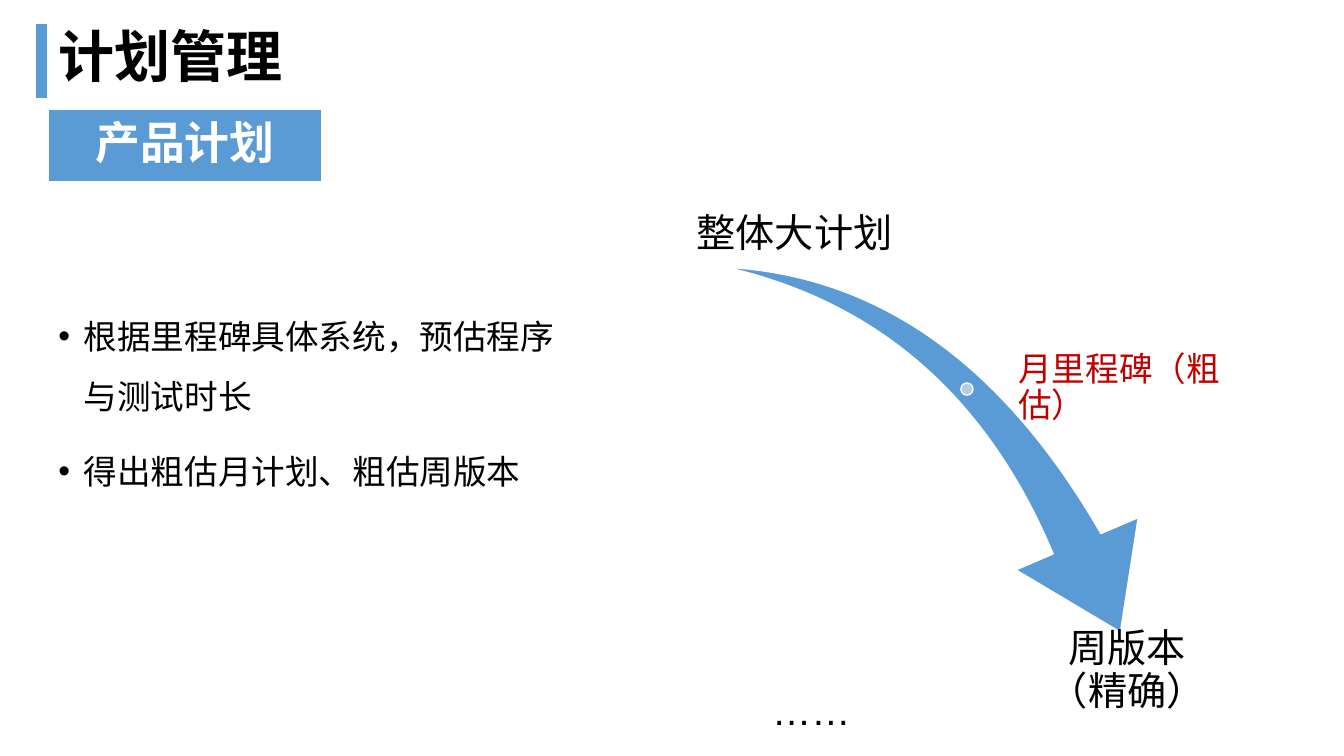
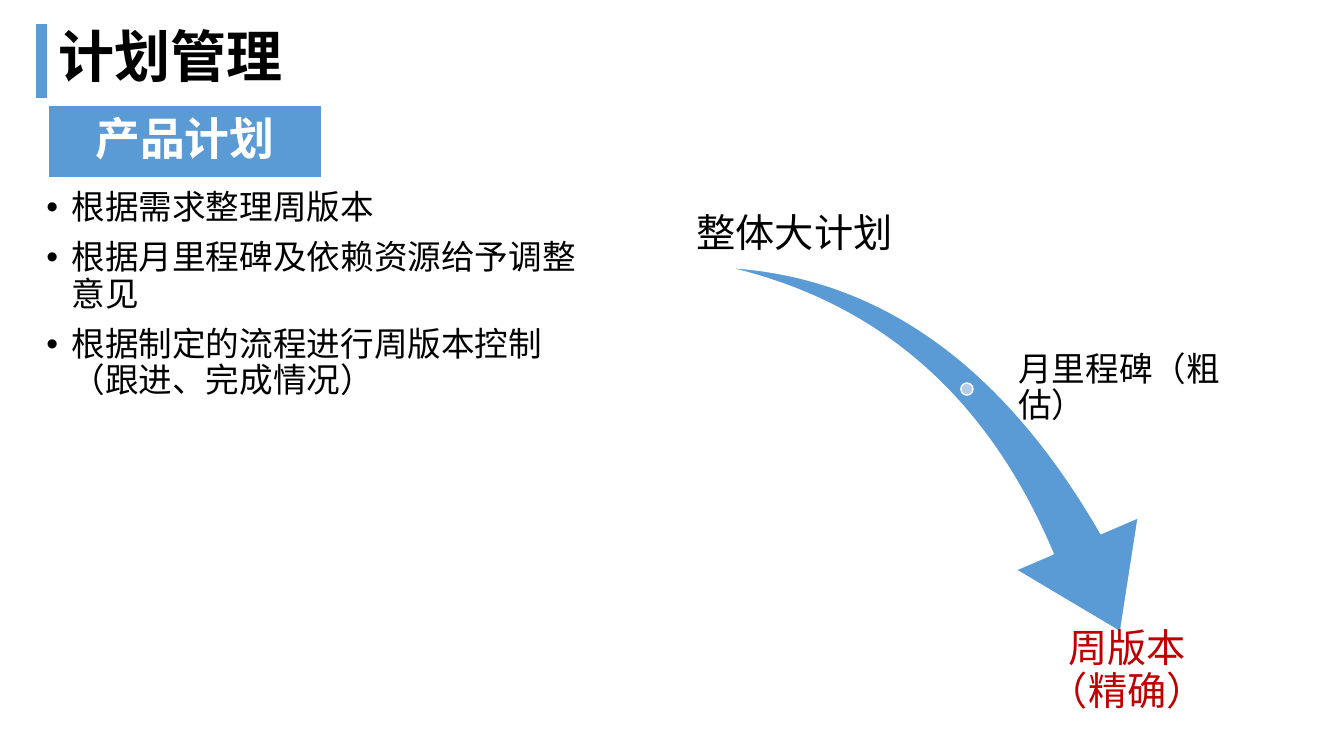
"""Build the two plan-management slides around one shared milestone diagram."""
from dataclasses import dataclass

from pptx import Presentation
from pptx.dml.color import RGBColor
from pptx.enum.shapes import MSO_SHAPE as Shp
from pptx.enum.text import MSO_ANCHOR as Anchor, MSO_AUTO_SIZE as AutoSize, PP_ALIGN as Align
from pptx.util import Emu, Pt

EMU_PER_PX = 9144
BLUE, PALE, RED, BLACK, WHITE = "5B9BD5", "B5CBE7", "C00000", "000000", "FFFFFF"


@dataclass(frozen=True)
class Box:
    left: int
    top: int
    width: int
    height: int


@dataclass(frozen=True)
class Label:
    text: str
    box: Box
    size: int = 28
    align: Align = Align.CENTER
    anchor: Anchor = Anchor.TOP
    inset: int = 4


@dataclass(frozen=True)
class Plan:
    tag_top: int
    bullets: tuple[str, ...]
    bullet_box: Box
    bullet_spacing: float
    highlight: str
    more: bool = False


OVERALL = Label("整体大计划", Box(680, 173, 216, 85), anchor=Anchor.BOTTOM)
MONTH = Label("月里程碑（粗估）", Box(1007, 343, 257, 85), 24, Align.LEFT, Anchor.MIDDLE, 3)
WEEK = Label("周版本\v（精确）", Box(972, 620, 292, 85))

PLANS = (
    Plan(108, ("根据里程碑具体系统，预估程序与测试时长", "得出粗估月计划、粗估周版本"),
         Box(48, 288, 534, 326), 1.5, MONTH.text, more=True),
    Plan(104, ("根据需求整理周版本", "根据月里程碑及依赖资源给予调整意见",
               "根据制定的流程进行周版本控制（跟进、完成情况）"),
         Box(36, 184, 568, 543), 0.9, WEEK.text),
)


def px(n: int) -> Emu:
    return Emu(n * EMU_PER_PX)


def color(hex_code: str) -> RGBColor:
    return RGBColor.from_string(hex_code)


def frame(box: Box) -> tuple[Emu, Emu, Emu, Emu]:
    return px(box.left), px(box.top), px(box.width), px(box.height)


def place(sp, box: Box) -> None:
    sp.left, sp.top, sp.width, sp.height = frame(box)


def write(sp, *texts: str, size: int, fill: str = BLACK, font: str = "Arial", bold: bool = False,
          align: Align = Align.LEFT, anchor: Anchor = Anchor.TOP, inset: int | None = None,
          spacing: float = 0.9, before: int = 0, indent: int = 0) -> None:
    tf = sp.text_frame
    tf.word_wrap, tf.auto_size, tf.vertical_anchor = True, AutoSize.NONE, anchor
    if inset is not None:
        tf.margin_left = tf.margin_top = tf.margin_right = tf.margin_bottom = px(inset)
    for i, text in enumerate(texts):
        p = tf.add_paragraph() if i else tf.paragraphs[0]
        p.text = text
        p.alignment, p.line_spacing, p.space_before = align, spacing, Pt(before)
        if indent:
            pPr = p._p.get_or_add_pPr()
            pPr.set("marL", str(px(indent)))
            pPr.set("indent", str(px(-indent)))
        for r in p.runs:
            r.font.size, r.font.name, r.font.bold = Pt(size), font, bold
            r.font.color.rgb = color(fill)


def add_shape(shapes, kind: Shp, box: Box, fill: str, line: str | None = WHITE):
    sp = shapes.add_shape(kind, *frame(box))
    sp.shadow.inherit = False
    sp.fill.solid()
    sp.fill.fore_color.rgb = color(fill)
    if line:
        sp.line.color.rgb = color(line)
        sp.line.width = Pt(1)
    else:
        sp.line.fill.background()
    return sp


def add_header(slide, tag_top: int) -> None:
    add_shape(slide.shapes, Shp.FLOWCHART_PROCESS, Box(36, 24, 11, 73), BLUE, None)
    title = slide.shapes.title
    place(title, Box(48, 24, 1058, 72))
    write(title, "计划管理", size=40, bold=True, before=10)
    tag = add_shape(slide.shapes, Shp.RECTANGLE, Box(48, tag_top, 271, 72), BLUE)
    write(tag, "产品计划", size=32, fill=WHITE, bold=True, align=Align.CENTER,
          anchor=Anchor.MIDDLE, inset=14)


def add_diagram(slide, highlight: str) -> None:
    shapes = slide.shapes.add_group_shape().shapes
    arrow = add_shape(shapes, Shp.SWOOSH_ARROW, Box(710, 279, 459, 320), BLUE)
    arrow.rotation = 73.3
    arrow.adjustments[0], arrow.adjustments[1] = 0.16, 0.31
    add_shape(shapes, Shp.OVAL, Box(953, 380, 12, 12), PALE)
    for label in (OVERALL, MONTH, WEEK):
        write(shapes.add_textbox(*frame(label.box)), label.text, size=label.size, font="Calibri",
              fill=RED if label.text == highlight else BLACK, align=label.align,
              anchor=label.anchor, inset=label.inset)


def add_plan(prs, plan: Plan) -> None:
    slide = prs.slides.add_slide(prs.slide_layouts[1])
    add_header(slide, plan.tag_top)
    body = slide.placeholders[1]
    place(body, plan.bullet_box)
    write(body, *plan.bullets, size=24, spacing=plan.bullet_spacing, before=10, indent=25)
    if plan.more:
        write(slide.shapes.add_textbox(*frame(Box(756, 681, 136, 63))), "……", size=28, before=10)
    add_diagram(slide, plan.highlight)


def main() -> None:
    prs = Presentation()
    prs.slide_width, prs.slide_height = px(1333), px(750)
    for plan in PLANS:
        add_plan(prs, plan)
    prs.save("out.pptx")


if __name__ == "__main__":
    main()
